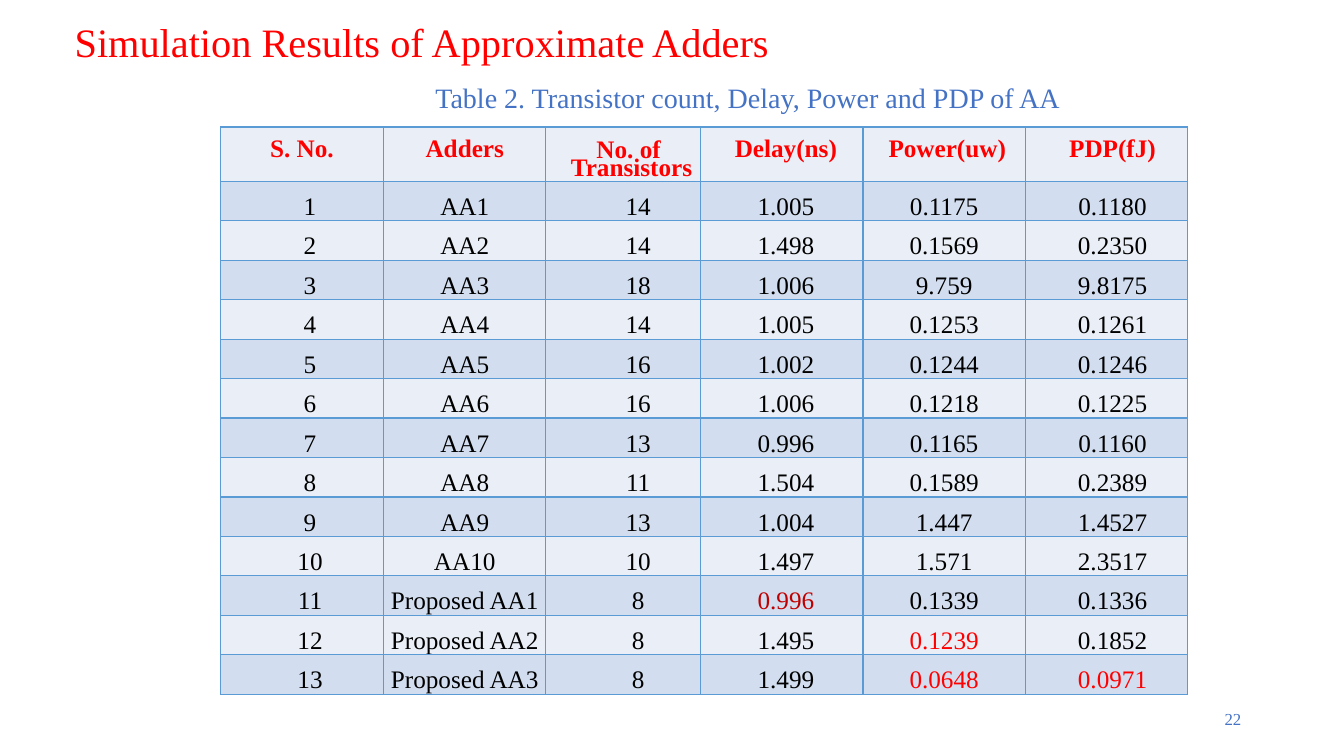
import pptx
import pptx.dml.color
import pptx.enum.text
import pptx.oxml
import pptx.oxml.ns
import pptx.util

Inches = pptx.util.Inches
Pt = pptx.util.Pt
ALIGN = pptx.enum.text.PP_ALIGN
ANCHOR = pptx.enum.text.MSO_ANCHOR

RED, DARK_RED, BLACK, BLUE = "FF0000", "C00000", "000000", "4472C4"
BORDER, LIGHT_BAND, DARK_BAND = "5B9BD5", "EAEFF7", "D2DEEF"


def color(hex_string):
    return pptx.dml.color.RGBColor.from_string(hex_string)


def write_text(text_frame, text, size, ink, bold=False, align=ALIGN.LEFT,
               line_spacing=None, space_before=None, indents=(0, 0)):
    """Fill a text frame, one paragraph per line; indents are left and right inches."""
    for index, line in enumerate(text.split("\n")):
        paragraph = text_frame.add_paragraph() if index else text_frame.paragraphs[0]
        paragraph.alignment = align
        paragraph.line_spacing = line_spacing
        paragraph.space_before = space_before
        properties = paragraph._p.get_or_add_pPr()
        for side, indent in zip(("marL", "marR"), indents):
            properties.set(side, str(Inches(indent)))
        run = paragraph.add_run()
        run.text = line
        run.font.name = "Times New Roman"
        run.font.size = Pt(size)
        run.font.bold = bold
        run.font.color.rgb = color(ink)


presentation = pptx.Presentation()
presentation.slide_width = Inches(13.33)
presentation.slide_height = Inches(7.5)
slide = presentation.slides.add_slide(presentation.slide_layouts[5])

# Title
title = slide.shapes.title
title.left, title.top = Inches(0.64), Inches(0.2)
title.width, title.height = Inches(7.16), Inches(0.48)
title.text_frame.vertical_anchor = ANCHOR.MIDDLE
write_text(title.text_frame, "Simulation Results of Approximate Adders", 28.8, RED,
           line_spacing=0.9)

# Results table
rows = [
    ("S. No.", "Adders", "No. of\n Transistors", "Delay(ns)", " Power(uw)", "PDP(fJ)"),
    ("1", "AA1", "14", "1.005", "0.1175", "0.1180"),
    ("2", "AA2", "14", "1.498", "0.1569", "0.2350"),
    ("3", "AA3", "18", "1.006", "9.759", "9.8175"),
    ("4", "AA4", "14", "1.005", "0.1253", "0.1261"),
    ("5", "AA5", "16", "1.002", "0.1244", "0.1246"),
    ("6", "AA6", "16", "1.006", "0.1218", "0.1225"),
    ("7", "AA7", "13", "0.996", "0.1165", "0.1160"),
    ("8", "AA8", "11", "1.504", "0.1589", "0.2389"),
    ("9", "AA9", "13", "1.004", "1.447", "1.4527"),
    ("10", "AA10", "10", "1.497", "1.571", "2.3517"),
    ("11", "Proposed AA1", "8", "0.996", "0.1339", "0.1336"),
    ("12", "Proposed AA2", "8", "1.495", "0.1239", "0.1852"),
    ("13", "Proposed AA3", "8", "1.499", "0.0648", "0.0971"),
]
column_widths = [1.61, 1.61, 1.54, 1.61, 1.61, 1.61]
header_indents = [(0, 0), (0.01, 0), (0.14, 0.03), (0.08, 0), (0, 0), (0.12, 0)]
body_indents = [(0.16, 0), (0.01, 0), (0.3, 0), (0.08, 0), (0, 0), (0.12, 0)]
best_values = {(11, 3): DARK_RED, (12, 4): RED, (13, 4): RED, (13, 5): RED}
header_height, table_height = 0.54, 5.63
body_height = (table_height - header_height) / (len(rows) - 1)
adders, transistors = 1, 2

table = slide.shapes.add_table(len(rows), len(column_widths), Inches(2.19), Inches(1.26),
                               Inches(sum(column_widths)), Inches(table_height)).table
for column, width in zip(table.columns, column_widths):
    column.width = Inches(width)

for row_index, row in enumerate(rows):
    is_header = row_index == 0
    table.rows[row_index].height = Inches(header_height if is_header else body_height)
    for column_index, text in enumerate(row):
        cell = table.cell(row_index, column_index)
        cell.margin_left = cell.margin_right = cell.margin_top = cell.margin_bottom = 0
        centred = is_header and column_index != transistors
        cell.vertical_anchor = ANCHOR.MIDDLE if centred else ANCHOR.BOTTOM
        for side in ("lnL", "lnR", "lnT", "lnB"):
            cell._tc.get_or_add_tcPr().append(pptx.oxml.parse_xml(
                f'<a:{side} {pptx.oxml.ns.nsdecls("a")} w="{Pt(1)}"><a:solidFill>'
                f'<a:srgbClr val="{BORDER}"/></a:solidFill></a:{side}>'))
        cell.fill.solid()
        cell.fill.fore_color.rgb = color(DARK_BAND if row_index % 2 else LIGHT_BAND)

        tight = row_index >= 9 and column_index != adders
        roomy = centred or row_index == 1 or column_index == adders
        write_text(cell.text_frame, text, 18,
                   RED if is_header else best_values.get((row_index, column_index), BLACK),
                   bold=is_header, align=ALIGN.CENTER,
                   line_spacing=Pt(9.3 if tight else 12),
                   space_before=Pt(1.6 if roomy else 0.6),
                   indents=(header_indents if is_header else body_indents)[column_index])

# Slide number
number = slide.shapes.add_textbox(Inches(11.75), Inches(6.95), Inches(0.66), Inches(0.36))
number.text_frame.word_wrap = True
number.text_frame.vertical_anchor = ANCHOR.MIDDLE
write_text(number.text_frame, "22", 12, BLUE, align=ALIGN.RIGHT)

# Table caption
caption = slide.shapes.add_textbox(Inches(4.22), Inches(0.75), Inches(6.44), Inches(0.44))
caption.text_frame.word_wrap = False
caption.text_frame.auto_size = pptx.enum.text.MSO_AUTO_SIZE.SHAPE_TO_FIT_TEXT
write_text(caption.text_frame, "Table 2. Transistor count, Delay, Power and PDP of AA",
           20, BLUE)

presentation.save("out.pptx")
